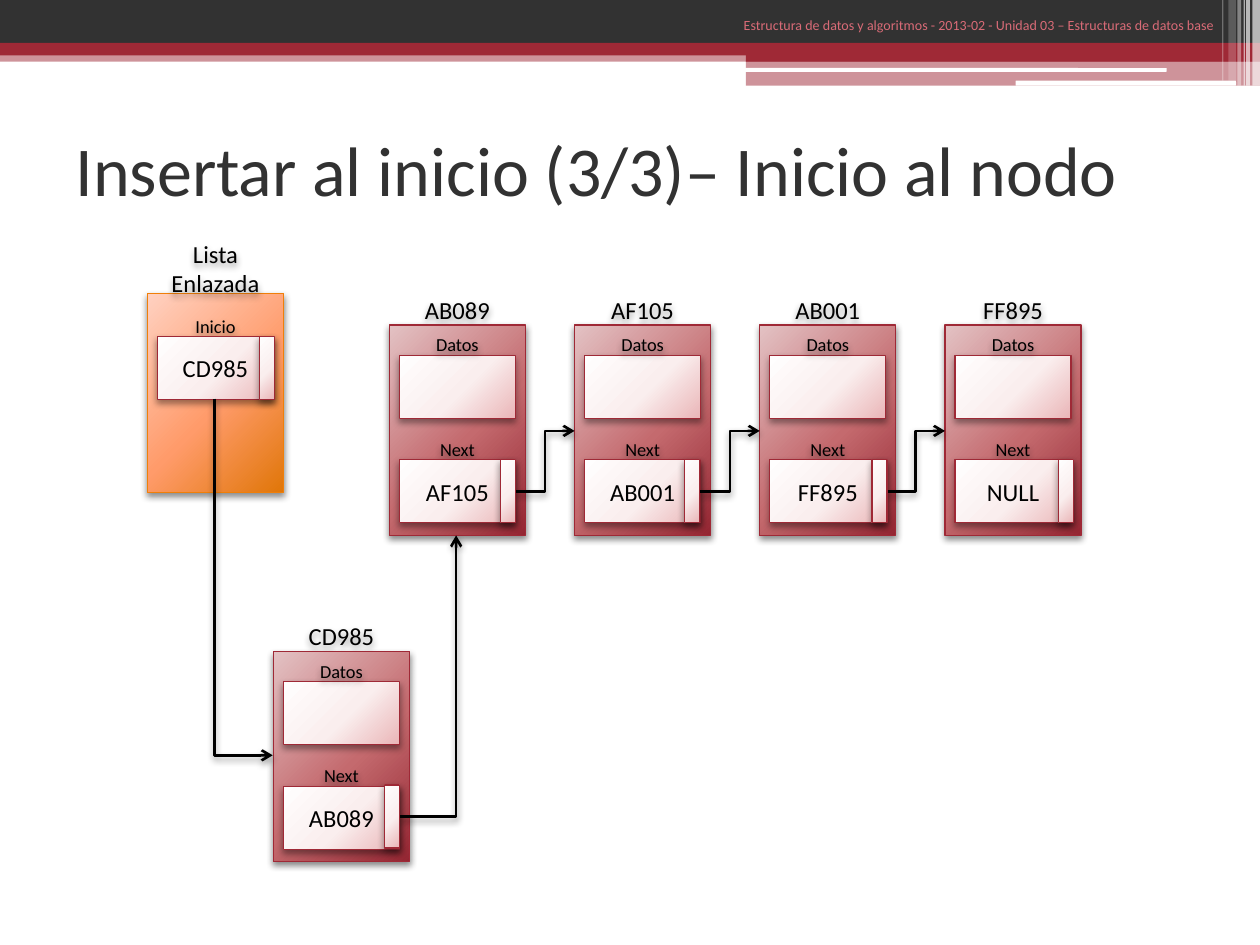
from dataclasses import dataclass
from pptx import Presentation
from pptx.dml.color import RGBColor
from pptx.enum.shapes import MSO_CONNECTOR, MSO_SHAPE
from pptx.enum.text import MSO_ANCHOR, PP_ALIGN
from pptx.oxml import parse_xml
from pptx.oxml.ns import nsdecls
from pptx.util import Inches, Pt


@dataclass
class Theme:
    font: str = "Calibri"
    dark: str = "323232"
    red: str = "9F2936"
    pink: str = "D96B77"
    gold: str = "F07F09"
    white: str = "FFFFFF"
    black: str = "000000"
    card: tuple = ("E3C2C4", "C46A6E", "942632")
    list: tuple = ("FFD1C1", "FF9B6A", "E07608")
    slot: tuple = ("FFFEFE", "FAEEEE", "EAB6B8")
    head: float = 40
    name: float = 14
    note: float = 10.5
    foot: float = 8


theme = Theme()


def shade(item, alpha=40):
    item._element.spPr.append(parse_xml(
        f'<a:effectLst {nsdecls("a")}><a:outerShdw blurRad="50800" dist="25400" dir="5400000" '
        f'rotWithShape="0"><a:srgbClr val="{theme.black}"><a:alpha val="{alpha * 1000}"/>'
        '</a:srgbClr></a:outerShdw></a:effectLst>'))


def box(group, at, text="", size=theme.name, tones=None, edge=theme.red, alpha=40):
    spot = [Inches(v) for v in at]
    if tones:
        item = group.add_shape(MSO_SHAPE.RECTANGLE, *spot)
        stops = "".join(f'<a:gs pos="{pos}"><a:srgbClr val="{tone}"/></a:gs>'
                        for pos, tone in zip((0, 55000, 100000), tones))
        item._element.spPr.insert(2, parse_xml(
            f'<a:gradFill {nsdecls("a")} rotWithShape="1"><a:gsLst>{stops}</a:gsLst><a:path path="circle">'
            '<a:fillToRect l="-40000" t="-90000" r="140000" b="190000"/></a:path></a:gradFill>'))
        item.line.color.rgb = RGBColor.from_string(edge)
        item.line.width = Pt(0.75)
    else:
        item = group.add_textbox(*spot)
    shade(item, alpha)
    frame = item.text_frame
    frame.word_wrap = True
    frame.vertical_anchor = MSO_ANCHOR.MIDDLE
    frame.margin_left = frame.margin_right = frame.margin_top = frame.margin_bottom = 0
    if text:
        line = frame.paragraphs[0]
        line.alignment = PP_ALIGN.CENTER
        run = line.add_run()
        run.text = text
        run.font.name = theme.font
        run.font.size = Pt(size)
        run.font.color.rgb = RGBColor.from_string(theme.black)


deck = Presentation()
deck.slide_width, deck.slide_height = Inches(10), Inches(7.5)
slide = deck.slides.add_slide(deck.slide_layouts[5])
page = slide.shapes

rect, round_rect = MSO_SHAPE.RECTANGLE, MSO_SHAPE.ROUNDED_RECTANGLE
bands = [
    (rect, 0, 0.4, 10, 0.09, theme.red, 50),
    (rect, 0, 0, 10, 0.34, theme.dark, 100),
    (rect, 0, 0.34, 10, 0.1, theme.red, 100),
    (rect, 5.92, 0.39, 4.08, 0.1, theme.red, 100),
    (rect, 5.92, 0.48, 4.08, 0.2, theme.red, 50),
    (round_rect, 5.91, 0.54, 3.35, 0.03, theme.white, 100),
    (round_rect, 8.06, 0.64, 1.75, 0.04, theme.white, 100),
    (rect, 9.94, 0, 0.06, 0.68, theme.white, 65),
    (rect, 9.89, 0, 0.03, 0.68, theme.white, 65),
    (rect, 9.87, 0, 0.01, 0.68, theme.white, 60),
    (rect, 9.82, 0, 0.03, 0.68, theme.white, 40),
    (rect, 9.75, 0, 0.06, 0.64, theme.white, 20),
    (rect, 9.7, 0, 0.01, 0.64, theme.white, 30),
]
for kind, x, y, w, h, tone, alpha in bands:
    band = page.add_shape(kind, Inches(x), Inches(y), Inches(w), Inches(h))
    band.shadow.inherit = False
    band.line.fill.background()
    band.fill.solid()
    band.fill.fore_color.rgb = RGBColor.from_string(tone)
    if alpha < 100:
        band.fill._xPr.solidFill[0].append(parse_xml(f'<a:alpha {nsdecls("a")} val="{alpha * 1000}"/>'))

title = page.title
title.left, title.top, title.width, title.height = Inches(0.5), Inches(0.75), Inches(9), Inches(1.17)
foot = page.add_textbox(Inches(4.67), Inches(0.08), Inches(5.07), Inches(0.25))
heads = [
    (title, "Insertar al inicio (3/3)– Inicio al nodo", theme.head, theme.dark, PP_ALIGN.LEFT, MSO_ANCHOR.MIDDLE),
    (foot, "Estructura de datos y algoritmos - 2013-02 - Unidad 03 – Estructuras de datos base",
     theme.foot, theme.pink, PP_ALIGN.RIGHT, MSO_ANCHOR.TOP),
]
for item, text, size, tone, align, anchor in heads:
    item.text_frame.word_wrap = True
    item.text_frame.vertical_anchor = anchor
    line = item.text_frame.paragraphs[0]
    line.alignment = align
    run = line.add_run()
    run.text = text
    run.font.name = theme.font
    run.font.size = Pt(size)
    run.font.color.rgb = RGBColor.from_string(tone)

group = page.add_group_shape().shapes
box(group, (1.17, 2.33, 1.08, 1.58), tones=theme.list, edge=theme.gold, alpha=45)
box(group, (1.25, 2.5, 0.92, 0.17), "Inicio", theme.note)
box(group, (1.25, 2.67, 0.92, 0.5), "CD985", tones=theme.slot)
box(group, (1.17, 1.92, 1.08, 0.42), "Lista Enlazada")

chain = ["AB089", "AF105", "AB001", "FF895", "NULL"]
nodes = [(3.09 + 1.47 * i, 2.33, *pair) for i, pair in enumerate(zip(chain, chain[1:]))]
nodes.append((2.17, 4.92, "CD985", "AB089"))
for x, y, name, link in nodes:
    group = page.add_group_shape().shapes
    box(group, (x, y, 1.08, 0.25), name)
    box(group, (x, y + 0.25, 1.08, 1.67), tones=theme.card, alpha=45)
    box(group, (x + 0.08, y + 0.49, 0.92, 0.5), tones=theme.slot)
    box(group, (x + 0.08, y + 1.15, 0.92, 0.17), "Next", theme.note)
    box(group, (x + 0.08, y + 0.32, 0.92, 0.17), "Datos", theme.note)
    box(group, (x + 0.08, y + 1.32, 0.92, 0.5), link, tones=theme.slot)

links = [(3.35, 4.35, 0.52, 4.81, 2, 270), (3.17, 6.48, 3.62, 4.25, 2, 0)]
links += [(x + 1, 3.9, x + 1.47, 3.42, 3, 0) for x, *rest in nodes[:3]]
for x, y, end_x, end_y, bend, turn in links:
    link = page.add_connector(MSO_CONNECTOR.ELBOW, Inches(x), Inches(y), Inches(end_x), Inches(end_y))
    link.line.color.rgb = RGBColor.from_string(theme.black)
    link.line.width = Pt(1.5)
    link.line._get_or_add_ln().append(parse_xml(f'<a:tailEnd {nsdecls("a")} type="arrow"/>'))
    link._element.spPr.prstGeom.set("prst", f"bentConnector{bend}")
    if turn:
        link._element.spPr.xfrm.set("rot", str(turn * 60000))
    shade(link)

for x, y in [(3.97, 3.65), (5.43, 3.65), (6.92, 3.65), (8.4, 3.65), (2.06, 2.67), (3.05, 6.23)]:
    box(page, (x, y, 0.12, 0.5), tones=theme.slot)

deck.save("out.pptx")
